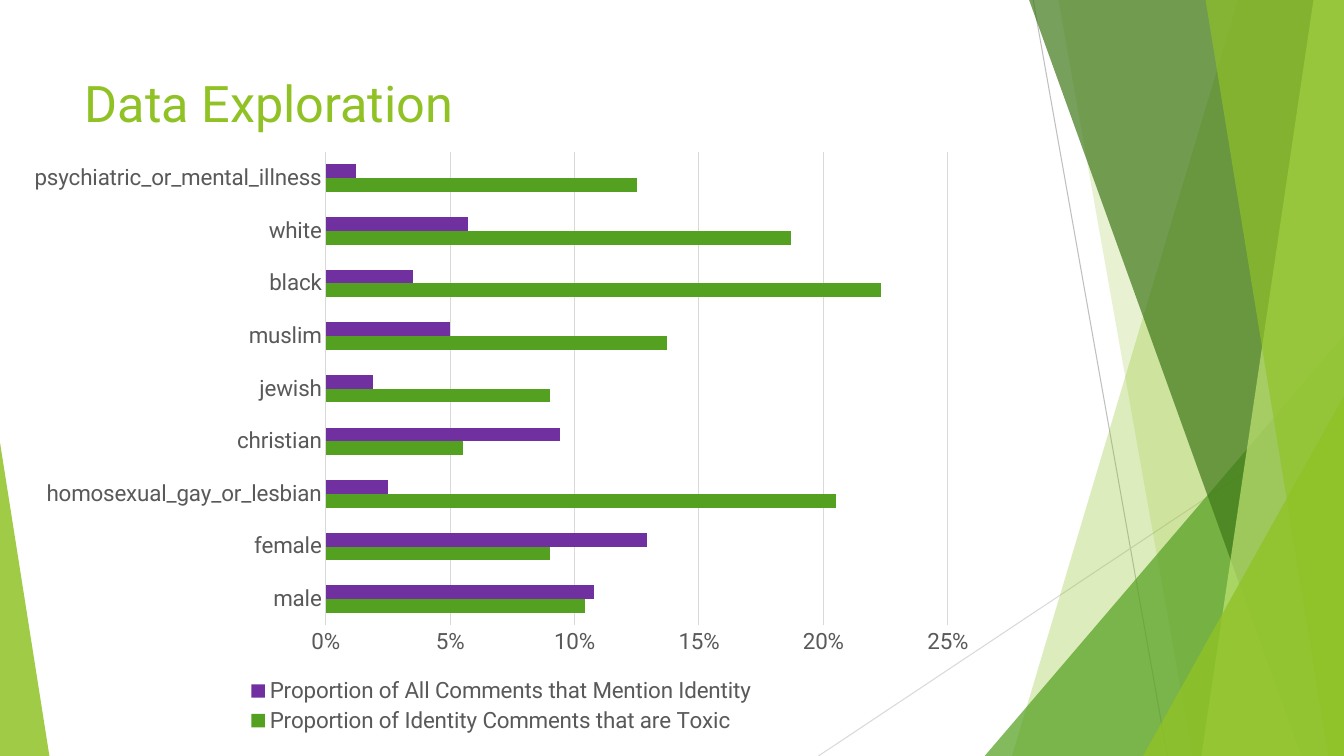
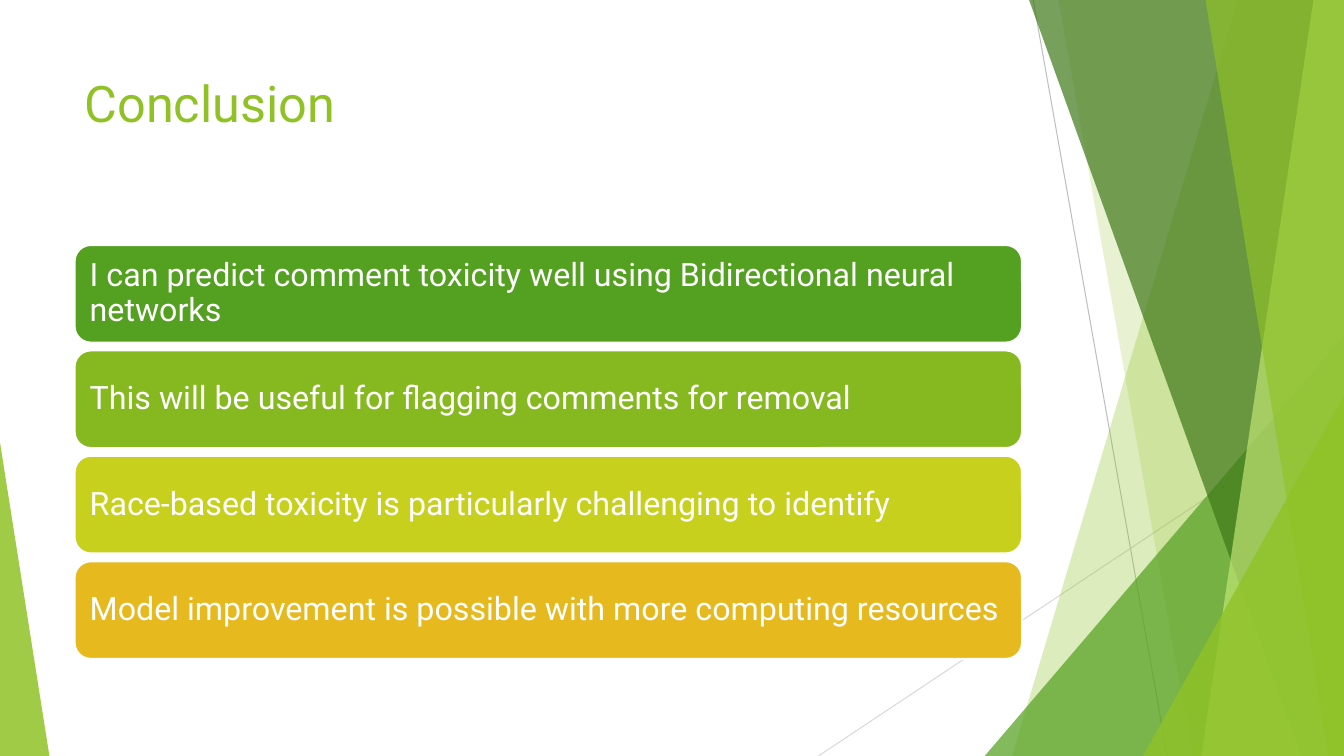
from lxml import etree
from pptx import Presentation
from pptx.chart import data
from pptx.dml.color import RGBColor
from pptx.enum import chart as charts, shapes, text
from pptx.oxml import ns
from pptx.util import Pt

WIDTH, HEIGHT = 960, 540
FONT = "Roboto"
COLORS = {
    "lime": "90C226",
    "green": "54A021",
    "forest": "3F7819",
    "pale": "C0E474",
    "leaf": "86B820",
    "yellow": "C7D01D",
    "amber": "E6B91E",
    "purple": "7030A0",
    "label": "595959",
    "rule": "BFBFBF",
    "grid": "D9D9D9",
    "white": "FFFFFF",
}

CATEGORIES = [
    "male", "female", "homosexual_gay_or_lesbian", "christian", "jewish",
    "muslim", "black", "white", "psychiatric_or_mental_illness",
]
SERIES = [
    ("Proportion of Identity Comments that are Toxic", "green",
     [0.104, 0.09, 0.205, 0.055, 0.09, 0.137, 0.223, 0.187, 0.125]),
    ("Proportion of All Comments that Mention Identity", "purple",
     [0.108, 0.129, 0.025, 0.094, 0.019, 0.05, 0.035, 0.057, 0.012]),
]
CONCLUSIONS = [
    ("I can predict comment toxicity well using Bidirectional neural networks", "green"),
    ("This will be useful for flagging comments for removal", "leaf"),
    ("Race-based toxicity is particularly challenging to identify", "yellow"),
    ("Model improvement is possible with more computing resources", "amber"),
]


def rgb(name):
    return RGBColor.from_string(COLORS[name])


def style_font(font, size, color):
    font.name, font.size = FONT, Pt(size)
    font.color.rgb = rgb(color)


def style_line(line, color, width=0.75):
    line.color.rgb = rgb(color)
    line.width = Pt(width)


def fill_facet(shape, color, opacity):
    """Fill a borderless shape; opacity is in percent."""
    shape.shadow.inherit = False
    shape.line.fill.background()
    shape.fill.solid()
    shape.fill.fore_color.rgb = rgb(color)
    color_element = shape.element.spPr.find(".//" + ns.qn("a:srgbClr"))
    etree.SubElement(color_element, ns.qn("a:alpha")).set("val", str(opacity * 1000))


def add_rule(group, start, end, color):
    rule = group.shapes.add_connector(
        shapes.MSO_CONNECTOR.STRAIGHT, *map(Pt, start + end))
    style_line(rule.line, color)
    etree.SubElement(rule.element.spPr, ns.qn("a:effectLst"))


def add_band(group, top_left, bottom_left, color, opacity):
    """Full-height band that ends at the right edge of the slide."""
    builder = group.shapes.build_freeform(Pt(top_left), 0)
    corners = [(WIDTH, 0), (WIDTH, HEIGHT), (bottom_left, HEIGHT)]
    builder.add_line_segments([(Pt(x), Pt(y)) for x, y in corners], close=True)
    fill_facet(builder.convert_to_shape(), color, opacity)


def add_corner(group, left, top, right, apex, color, opacity):
    """Triangle that stands on the bottom edge of the slide."""
    corner = group.shapes.add_shape(
        shapes.MSO_SHAPE.ISOSCELES_TRIANGLE,
        Pt(left), Pt(top), Pt(right - left), Pt(HEIGHT - top))
    corner.adjustments[0] = apex
    fill_facet(corner, color, opacity)


def add_facets(slide):
    """Draw the facets once and hand them to the layout of the slide."""
    group = slide.shapes.add_group_shape()
    add_rule(group, (738, 0), (833.8, HEIGHT), "rule")
    add_rule(group, (WIDTH, 290.2), (584.6, HEIGHT), "grid")
    add_band(group, 884.2, 722.9, "lime", 30)
    add_band(group, 756, 851.8, "lime", 20)
    add_corner(group, 703.4, 239.8, WIDTH, 1, "green", 72)
    add_band(group, 735.1, 929.5, "forest", 70)
    add_band(group, 938.2, 858.2, "pale", 70)
    add_band(group, 861.1, 949, "lime", 65)
    add_corner(group, 816.5, 283, WIDTH, 1, "lime", 80)
    add_corner(group, 0, 316.1, 35.3, 0, "lime", 85)
    for number, properties in enumerate(group.element.iter(ns.qn("p:cNvPr")), 100):
        properties.set("id", str(number))
    slide.slide_layout.shapes.element.insert(2, group.element)


def add_titled_slide(presentation, title_text):
    slide = presentation.slides.add_slide(presentation.slide_layouts[5])
    title = slide.shapes.title
    title.left, title.top, title.width, title.height = map(Pt, (53.3, 48, 676.8, 104))
    frame = title.text_frame
    frame.vertical_anchor = text.MSO_ANCHOR.TOP
    frame.auto_size = text.MSO_AUTO_SIZE.NONE
    paragraph = frame.paragraphs[0]
    paragraph.alignment = text.PP_ALIGN.LEFT
    run = paragraph.add_run()
    run.text = title_text
    style_font(run.font, 36, "lime")
    return slide


def add_identity_chart(slide, left, top, width, height):
    chart_data = data.CategoryChartData(number_format="0%")
    chart_data.categories = CATEGORIES
    for name, _, values in SERIES:
        chart_data.add_series(name, values)
    chart = slide.shapes.add_chart(
        charts.XL_CHART_TYPE.BAR_CLUSTERED,
        *map(Pt, (left, top, width, height)), chart_data).chart
    style_font(chart.font, 16, "label")
    chart.has_title = False
    chart.has_legend = True
    chart.legend.position = charts.XL_LEGEND_POSITION.BOTTOM
    chart.legend.include_in_layout = False
    style_font(chart.legend.font, 16, "label")

    plot = chart.plots[0]
    plot.gap_width = 182
    plot.vary_by_categories = False
    for series, (_, color, _) in zip(plot.series, SERIES):
        series.format.fill.solid()
        series.format.fill.fore_color.rgb = rgb(color)

    category_axis, value_axis = chart.category_axis, chart.value_axis
    for axis in (category_axis, value_axis):
        axis.major_tick_mark = axis.minor_tick_mark = charts.XL_TICK_MARK.NONE
        style_font(axis.tick_labels.font, 16, "label")
    style_line(category_axis.format.line, "grid")
    value_axis.format.line.fill.background()
    value_axis.minimum_scale, value_axis.maximum_scale = 0, 0.25
    value_axis.major_unit = 0.05
    value_axis.tick_labels.number_format = "0%"
    value_axis.tick_labels.number_format_is_linked = False
    value_axis.has_major_gridlines = True
    style_line(value_axis.major_gridlines.format.line, "grid")


def add_conclusions(slide, left, top, width, height, gap=5.5):
    """Stack one rounded bar per conclusion, evenly spaced in the box."""
    bar_height = (height + gap) / len(CONCLUSIONS) - gap
    for index, (statement, color) in enumerate(CONCLUSIONS):
        bar = slide.shapes.add_shape(
            shapes.MSO_SHAPE.ROUNDED_RECTANGLE, Pt(left),
            Pt(top + index * (bar_height + gap)), Pt(width), Pt(bar_height))
        bar.shadow.inherit = False
        bar.fill.solid()
        bar.fill.fore_color.rgb = rgb(color)
        style_line(bar.line, "white", 1.5)
        frame = bar.text_frame
        frame.word_wrap = True
        frame.vertical_anchor = text.MSO_ANCHOR.MIDDLE
        # The rounded corners already inset the text by about 3.4 pt.
        frame.margin_left = frame.margin_right = Pt(7.4)
        paragraph = frame.paragraphs[0]
        paragraph.alignment = text.PP_ALIGN.LEFT
        paragraph.line_spacing = 0.9
        run = paragraph.add_run()
        run.text = statement
        style_font(run.font, 23, "white")


def main():
    presentation = Presentation()
    presentation.slide_width, presentation.slide_height = Pt(WIDTH), Pt(HEIGHT)

    exploration = add_titled_slide(presentation, "Data Exploration")
    add_facets(exploration)
    add_identity_chart(exploration, 10.8, 100, 694.8, 427)

    conclusion = add_titled_slide(presentation, "Conclusion")
    add_conclusions(conclusion, 53.3, 175, 676.8, 295.7)

    presentation.save("out.pptx")


if __name__ == "__main__":
    main()
